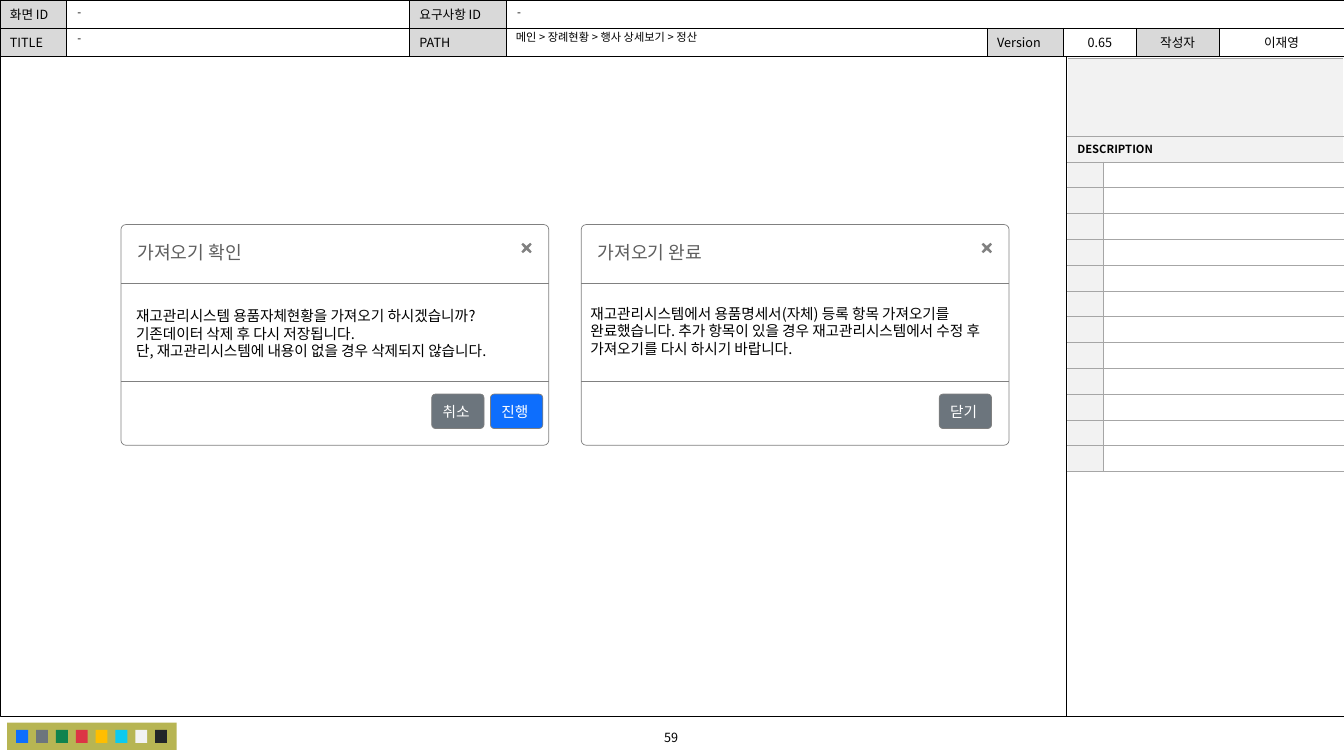
from lxml import etree
from pptx import Presentation
from pptx import util as u
from pptx.dml.color import RGBColor
from pptx.enum import shapes, text
from pptx.oxml import ns

NOTO, CABIN = "Noto Sans CJK KR", "Cabin"
BLACK, WHITE, GRAY, LABEL, PALE = "000000", "FFFFFF", "808080", "D9D9D9", "F2F2F2"
BLUE, SLATE, RULE = "0D6EFD", "6C757D", "A6A6A6"
LEFT, CENTER = text.PP_ALIGN.LEFT, text.PP_ALIGN.CENTER
TOP, MIDDLE = text.MSO_ANCHOR.TOP, text.MSO_ANCHOR.MIDDLE
WIDTH, HEIGHT = 33.87, 19.05


def color(value):
    return RGBColor.from_string(value)


def add_run(paragraph, words, size, font=NOTO, fill=BLACK, bold=False):
    run = paragraph.add_run()
    run.text = words
    run.font.size, run.font.name, run.font.bold = u.Pt(size), font, bold
    run.font.color.rgb = color(fill)
    east_asian = etree.SubElement(run._r.rPr, ns.qn("a:ea"))
    east_asian.set("typeface", NOTO)


def write(frame, lines, size, font=NOTO, fill=BLACK, align=LEFT, anchor=TOP,
          margins=(0.25, 0.13, 0.25, 0.13), wrap=True):
    frame.word_wrap = wrap
    frame.vertical_anchor = anchor
    (frame.margin_left, frame.margin_top,
     frame.margin_right, frame.margin_bottom) = map(u.Cm, margins)
    for index, line in enumerate(lines):
        paragraph = frame.paragraphs[0] if index == 0 else frame.add_paragraph()
        paragraph.alignment = align
        add_run(paragraph, line, size, font, fill)


def add_box(slide, x, y, width, height, fill=None, line=None, line_width=0.5, radius=None):
    kind = shapes.MSO_SHAPE.RECTANGLE if radius is None else shapes.MSO_SHAPE.ROUNDED_RECTANGLE
    shape = slide.shapes.add_shape(kind, *map(u.Cm, (x, y, width, height)))
    shape.shadow.inherit = False
    if radius is not None:
        shape.adjustments[0] = radius
    if fill:
        shape.fill.solid()
        shape.fill.fore_color.rgb = color(fill)
    else:
        shape.fill.background()
    if line:
        shape.line.color.rgb = color(line)
        shape.line.width = u.Pt(line_width)
    else:
        shape.line.fill.background()
    return shape


def add_line(slide, x1, y1, x2, y2, stroke):
    line = slide.shapes.add_connector(
        shapes.MSO_CONNECTOR.STRAIGHT, *map(u.Cm, (x1, y1, x2, y2)))
    line.line.color.rgb = color(stroke)
    line.line.width = u.Pt(0.5)
    etree.SubElement(line._element.spPr, ns.qn("a:effectLst"))


def add_text(slide, x, y, width, height, lines, size, **style):
    box = slide.shapes.add_textbox(*map(u.Cm, (x, y, width, height)))
    write(box.text_frame, lines, size, **style)


def add_grid(slide, x, y, columns, rows):
    frame = slide.shapes.add_table(len(rows), len(columns), *map(u.Cm, (x, y, sum(columns), sum(rows))))
    table = frame.table
    table.first_row = table.horz_banding = False
    for column, width in zip(table.columns, columns):
        column.width = u.Cm(width)
    for row, height in zip(table.rows, rows):
        row.height = u.Cm(height)
    return table


def style_cell(cell, words, size, fill, stroke, sides, align=LEFT, bold=False):
    cell.vertical_anchor = MIDDLE
    cell.margin_left = cell.margin_right = u.Cm(0.25)
    cell.margin_top = cell.margin_bottom = u.Cm(0.05)
    properties = cell._tc.get_or_add_tcPr()
    for side in sides:
        border = etree.SubElement(properties, ns.qn("a:ln" + side), w=str(u.Pt(0.5)))
        solid = etree.SubElement(border, ns.qn("a:solidFill"))
        etree.SubElement(solid, ns.qn("a:srgbClr"), val=stroke)
    cell.fill.solid()
    cell.fill.fore_color.rgb = color(fill)
    paragraph = cell.text_frame.paragraphs[0]
    paragraph.alignment = align
    if words:
        add_run(paragraph, words, size, bold=bold)
    else:
        etree.SubElement(paragraph._p, ns.qn("a:endParaRPr"), sz=str(size * 100))


def build_header(slide, x, y):
    # Screen information table
    columns = [1.67, 8.65, 2.44, 12.12, 1.92, 1.83, 2.09, 3.15]
    entries = [["화면 ID", "", "요구사항 ID", "", "", "", "", ""],
               ["TITLE", "", "PATH", "", "Version", "0.65", "작성자", "이재영"]]
    table = add_grid(slide, x, y, columns, [0.71, 0.71])
    for row, words in enumerate(entries):
        for column, word in enumerate(words):
            is_label = column % 2 == 0 and word
            style_cell(table.cell(row, column), word, 9, LABEL if is_label else WHITE,
                       BLACK, "LRTB", CENTER if column > 4 else LEFT)
    table.cell(0, 3).merge(table.cell(0, 7))


def build_fields(slide, x, y):
    # Values typed into the header, stacked in front of its table
    fields = [(1, 1.7, 0.03, 8.64, "-"), (2, 12.78, 0.03, 21.06, "-"),
              (3, 1.7, 0.68, 8.64, "-"), (4, 12.75, 0.66, 12.04, "메인 > 장례현황 > 행사 상세보기 > 정산")]
    holders = {holder.placeholder_format.idx: holder for holder in slide.placeholders}
    for index, left, top, width, words in fields:
        holder = holders[index]
        holder.left, holder.top, holder.width, holder.height = map(
            u.Cm, (x + left, y + top, width, 0.58))
        holder._element.getparent().append(holder._element)
        write(holder.text_frame, [words], 8, anchor=MIDDLE, margins=(0.25, 0, 0.25, 0))
        paragraph = holder.text_frame.paragraphs[0]
        properties = paragraph._p.get_or_add_pPr()
        properties.set("marL", "0")
        properties.set("indent", "0")
        etree.SubElement(properties, ns.qn("a:buNone"))
        paragraph.line_spacing = 0.9
        paragraph.space_before = u.Pt(0)
    title = slide.shapes.title
    title._element.getparent().remove(title._element)


def build_canvas(slide, x, y, width, height):
    # Frame with the description column split off
    add_box(slide, x, y, width, height, line=BLACK, line_width=0.25)
    add_line(slide, x + 26.87, y, x + 26.87, y + height, BLACK)


def build_description(slide, x, y):
    # Description table
    rows = [1.97] + [0.65] * 13
    table = add_grid(slide, x, y, [0.9, 6.07], rows)
    for row in range(len(rows)):
        heading = row < 2
        words = "DESCRIPTION" if row == 1 else ""
        style_cell(table.cell(row, 0), words, 8, PALE, RULE, "TB" if heading else "RTB", bold=True)
        style_cell(table.cell(row, 1), "", 8, PALE if heading else WHITE, RULE,
                   "RTB" if heading else "LRTB")
        if heading:
            table.cell(row, 0).merge(table.cell(row, 1))


def build_footer(slide, x, y):
    # Palette and page number
    add_box(slide, x + 0.18, y + 0.15, 4.27, 0.69, fill="B7B553")
    chips = [BLUE, SLATE, "10834E", "DC3545", "FFBE00", "0DCAF0", PALE, "212529"]
    for index, chip in enumerate(chips):
        add_box(slide, x + 0.41 + 0.5 * index, y + 0.33, 0.3, 0.33, fill=chip)
    add_text(slide, x + 13.64, y + 0.2, 6.55, 0.64, ["59"], 9, align=CENTER, anchor=MIDDLE)


def add_close_mark(slide, center_x, center_y):
    points, arm = [], [(-0.09, -0.13), (-0.13, -0.09), (-0.05, 0)]
    for _ in range(4):
        points += arm
        arm = [(dy, -dx) for dx, dy in arm]
    outline = [(u.Cm(center_x + dx), u.Cm(center_y + dy)) for dx, dy in points]
    builder = slide.shapes.build_freeform(*outline[0])
    builder.add_line_segments(outline[1:], close=True)
    mark = builder.convert_to_shape()
    mark.shadow.inherit = False
    mark.fill.solid()
    mark.fill.fore_color.rgb = color(GRAY)
    mark.line.fill.background()


def build_dialog(slide, x, y, title, message, message_box, buttons):
    # Dialog window with title, message and buttons
    width = 10.78
    window = add_box(slide, x, y, width, 5.56, WHITE, GRAY, radius=0.022)
    write(window.text_frame, [title], 13, CABIN, "5F5F5F", margins=(0.38, 0.38, 0.25, 0.13))
    for offset in (1.48, 3.94):
        add_line(slide, x, y + offset, x + width, y + offset, GRAY)
    add_close_mark(slide, x + 10.22, y + 0.59)
    left, top, message_width = message_box
    add_text(slide, x + left, y + top, message_width, 1.6, message, 10.5)
    for offset, label, fill in buttons:
        button = add_box(slide, x + offset, y + 4.27, 1.32, 0.87, fill, GRAY, radius=0.112)
        write(button.text_frame, [label], 10.5, CABIN, WHITE, LEFT, MIDDLE,
              margins=(0.25, 0.18, 0.25, 0.18), wrap=False)


def main():
    presentation = Presentation()
    presentation.slide_width, presentation.slide_height = u.Cm(WIDTH), u.Cm(HEIGHT)
    slide = presentation.slides.add_slide(presentation.slide_layouts.get_by_name("Comparison"))
    build_header(slide, 0, 0)
    build_canvas(slide, 0, 1.42, WIDTH, 16.64)
    build_footer(slide, 0, 18.06)
    build_fields(slide, 0, 0)
    build_description(slide, 26.9, 1.46)
    build_dialog(slide, 3.05, 5.66, "가져오기 확인",
                 ["재고관리시스템 용품자체현황을 가져오기 하시겠습니까?",
                  "기존데이터 삭제 후 다시 저장됩니다.",
                  "단, 재고관리시스템에 내용이 없을 경우 삭제되지 않습니다."],
                 (0.13, 1.94, 10.49), [(7.83, "취소", SLATE), (9.31, "진행", BLUE)])
    build_dialog(slide, 14.65, 5.66, "가져오기 완료",
                 ["재고관리시스템에서 용품명세서(자체) 등록 항목 가져오기를 완료했습니다. "
                  "추가 항목이 있을 경우 재고관리시스템에서 수정 후 가져오기를 다시 하시기 바랍니다."],
                 (-0.02, 1.88, 10.77), [(9.02, "닫기", SLATE)])
    presentation.save("out.pptx")


if __name__ == "__main__":
    main()
